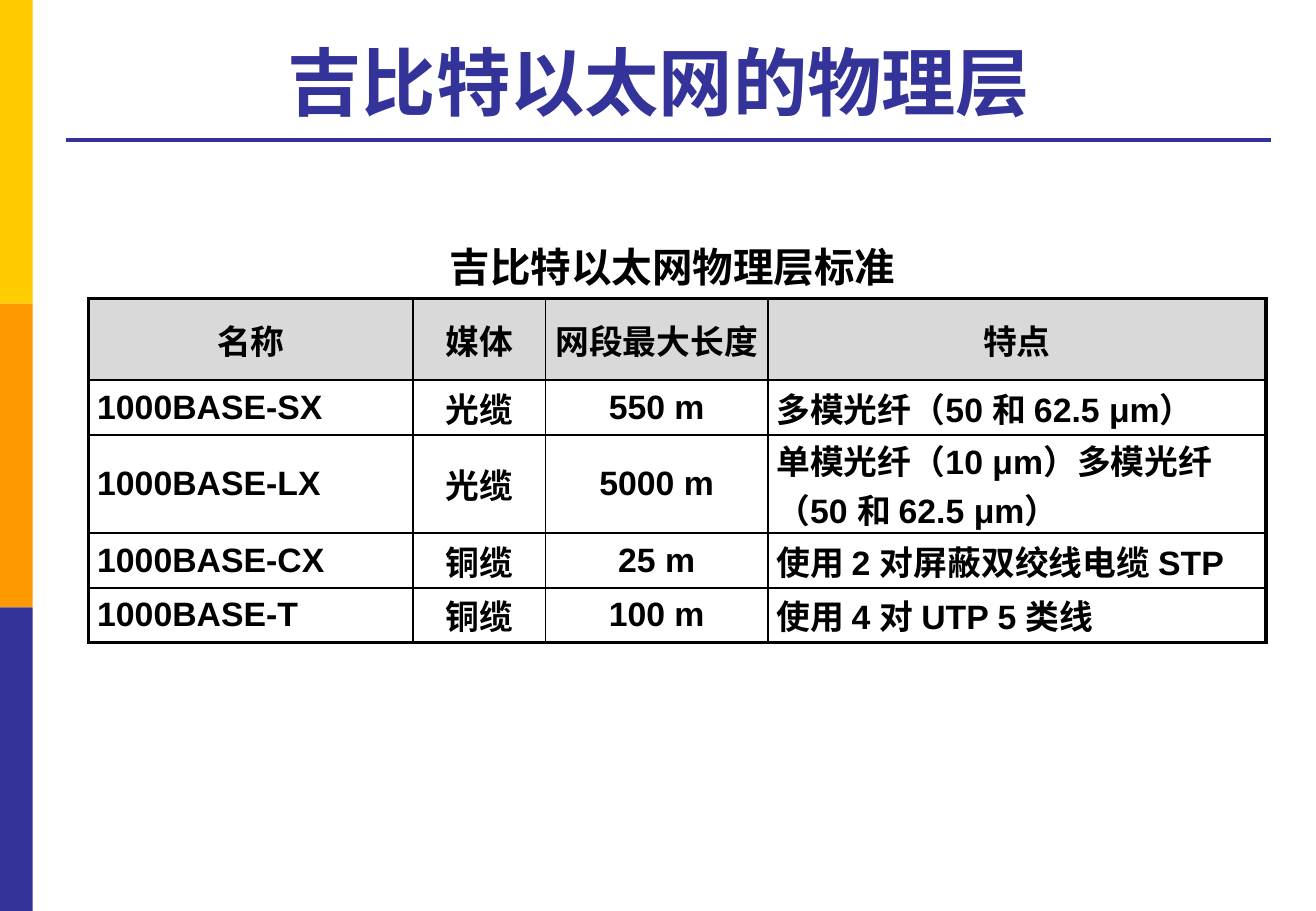
from dataclasses import dataclass

from lxml import etree
from pptx import Presentation
from pptx.dml.color import RGBColor
from pptx.enum.shapes import MSO_CONNECTOR, MSO_SHAPE
from pptx.enum.text import MSO_ANCHOR, PP_ALIGN
from pptx.oxml.ns import qn
from pptx.slide import Slide
from pptx.table import _Cell
from pptx.text.text import TextFrame
from pptx.util import Inches, Pt

RECTANGLE = MSO_SHAPE.RECTANGLE
STRAIGHT = MSO_CONNECTOR.STRAIGHT
MIDDLE, BOTTOM = MSO_ANCHOR.MIDDLE, MSO_ANCHOR.BOTTOM
LEFT, CENTER, JUSTIFY = PP_ALIGN.LEFT, PP_ALIGN.CENTER, PP_ALIGN.JUSTIFY


@dataclass(frozen=True)
class Theme:
    font: str = "Arial"
    yellow: str = "FFCC00"
    orange: str = "FF9900"
    indigo: str = "333399"
    black: str = "000000"
    header_gray: str = "D9D9D9"
    title_size: float = 44
    caption_size: float = 24
    cell_size: float = 20
    outer_border: float = 2.25
    inner_border: float = 1


@dataclass(frozen=True)
class Label:
    text: str
    left: float
    top: float
    width: float
    height: float
    size: float
    color: str
    anchor: MSO_ANCHOR


@dataclass(frozen=True)
class Column:
    heading: str
    width: float
    alignment: PP_ALIGN


THEME = Theme()
BAND_WIDTH, BAND_HEIGHT = 0.27, 2.5
BAND_COLORS = (THEME.yellow, THEME.orange, THEME.indigo)

LABELS = (
    Label("吉比特以太网的物理层 ", 0.54, 0.21, 9.91, 0.87,
          THEME.title_size, THEME.indigo, BOTTOM),
    Label("吉比特以太网物理层标准", 2.78, 1.94, 5.51, 0.5,
          THEME.caption_size, THEME.black, MIDDLE),
)

COLUMNS = (
    Column("名称", 2.67, JUSTIFY),
    Column("媒体", 1.09, CENTER),
    Column("网段最大长度", 1.83, CENTER),
    Column("特点", 4.1, LEFT),
)
STANDARDS = (
    ("1000BASE-SX", "光缆", "550 m", "多模光纤（50 和 62.5 μm）"),
    ("1000BASE-LX", "光缆", "5000 m", "单模光纤（10 μm）多模光纤（50 和 62.5 μm）"),
    ("1000BASE-CX", "铜缆", "25 m", "使用 2 对屏蔽双绞线电缆 STP"),
    ("1000BASE-T", "铜缆", "100 m", "使用 4 对 UTP 5 类线"),
)
# The third row holds two lines of text
ROW_HEIGHTS = (0.67, 0.45, 0.81, 0.45, 0.45)


def write_text(frame: TextFrame, text: str, size: float, color: str,
               alignment: PP_ALIGN) -> None:
    paragraph = frame.paragraphs[0]
    paragraph.alignment = alignment
    run = paragraph.add_run()
    run.text = text
    run.font.name = THEME.font
    run.font.size = Pt(size)
    run.font.bold = True
    run.font.color.rgb = RGBColor.from_string(color)


def add_bands(slide: Slide) -> None:
    for index, color in enumerate(BAND_COLORS):
        band = slide.shapes.add_shape(
            RECTANGLE, Inches(0), Inches(index * BAND_HEIGHT),
            Inches(BAND_WIDTH), Inches(BAND_HEIGHT))
        band.shadow.inherit = False
        band.fill.solid()
        band.fill.fore_color.rgb = RGBColor.from_string(color)
        band.line.fill.background()


def add_title_rule(slide: Slide) -> None:
    rule = slide.shapes.add_connector(
        STRAIGHT, Inches(0.54), Inches(1.15), Inches(10.46), Inches(1.15))
    rule.line.color.rgb = RGBColor.from_string(THEME.indigo)
    rule.line.width = Pt(2.25)
    etree.SubElement(rule._element.spPr, qn("a:effectLst"))


def add_label(slide: Slide, label: Label) -> None:
    box = slide.shapes.add_textbox(
        Inches(label.left), Inches(label.top),
        Inches(label.width), Inches(label.height))
    frame = box.text_frame
    frame.word_wrap = True
    frame.vertical_anchor = label.anchor
    write_text(frame, label.text, label.size, label.color, CENTER)


def set_borders(cell: _Cell, outer_edges: dict[str, bool]) -> None:
    properties = cell._tc.get_or_add_tcPr()
    for index, (edge, is_outer) in enumerate(outer_edges.items()):
        width = THEME.outer_border if is_outer else THEME.inner_border
        line = etree.Element(qn(f"a:ln{edge}"), w=str(Pt(width)))
        fill = etree.SubElement(line, qn("a:solidFill"))
        etree.SubElement(fill, qn("a:srgbClr"), val=THEME.black)
        properties.insert(index, line)


def add_standards_table(slide: Slide) -> None:
    rows = (tuple(column.heading for column in COLUMNS), *STANDARDS)
    table = slide.shapes.add_table(
        len(rows), len(COLUMNS), Inches(0.73), Inches(2.46),
        Inches(sum(column.width for column in COLUMNS)),
        Inches(sum(ROW_HEIGHTS))).table
    table.first_row = table.horz_banding = False

    for index, column in enumerate(COLUMNS):
        table.columns[index].width = Inches(column.width)
    for row_index, texts in enumerate(rows):
        table.rows[row_index].height = Inches(ROW_HEIGHTS[row_index])
        is_header = row_index == 0
        for column_index, text in enumerate(texts):
            cell = table.cell(row_index, column_index)
            cell.vertical_anchor = MIDDLE
            cell.margin_left = cell.margin_right = Inches(0.07)
            cell.margin_top = cell.margin_bottom = 0
            if is_header:
                cell.fill.solid()
                cell.fill.fore_color.rgb = RGBColor.from_string(THEME.header_gray)
            else:
                cell.fill.background()
            alignment = CENTER if is_header else COLUMNS[column_index].alignment
            write_text(cell.text_frame, text, THEME.cell_size, THEME.black, alignment)
            set_borders(cell, {
                "L": column_index == 0,
                "R": column_index == len(COLUMNS) - 1,
                "T": is_header,
                "B": row_index == len(rows) - 1,
            })


def main() -> None:
    presentation = Presentation()
    presentation.slide_width = Inches(10.83)
    presentation.slide_height = Inches(7.5)
    slide = presentation.slides.add_slide(presentation.slide_layouts[6])

    # Side bands and title rule
    add_bands(slide)
    add_title_rule(slide)

    # Title and table caption
    for label in LABELS:
        add_label(slide, label)

    # Physical layer standards
    add_standards_table(slide)

    presentation.save("out.pptx")


if __name__ == "__main__":
    main()
